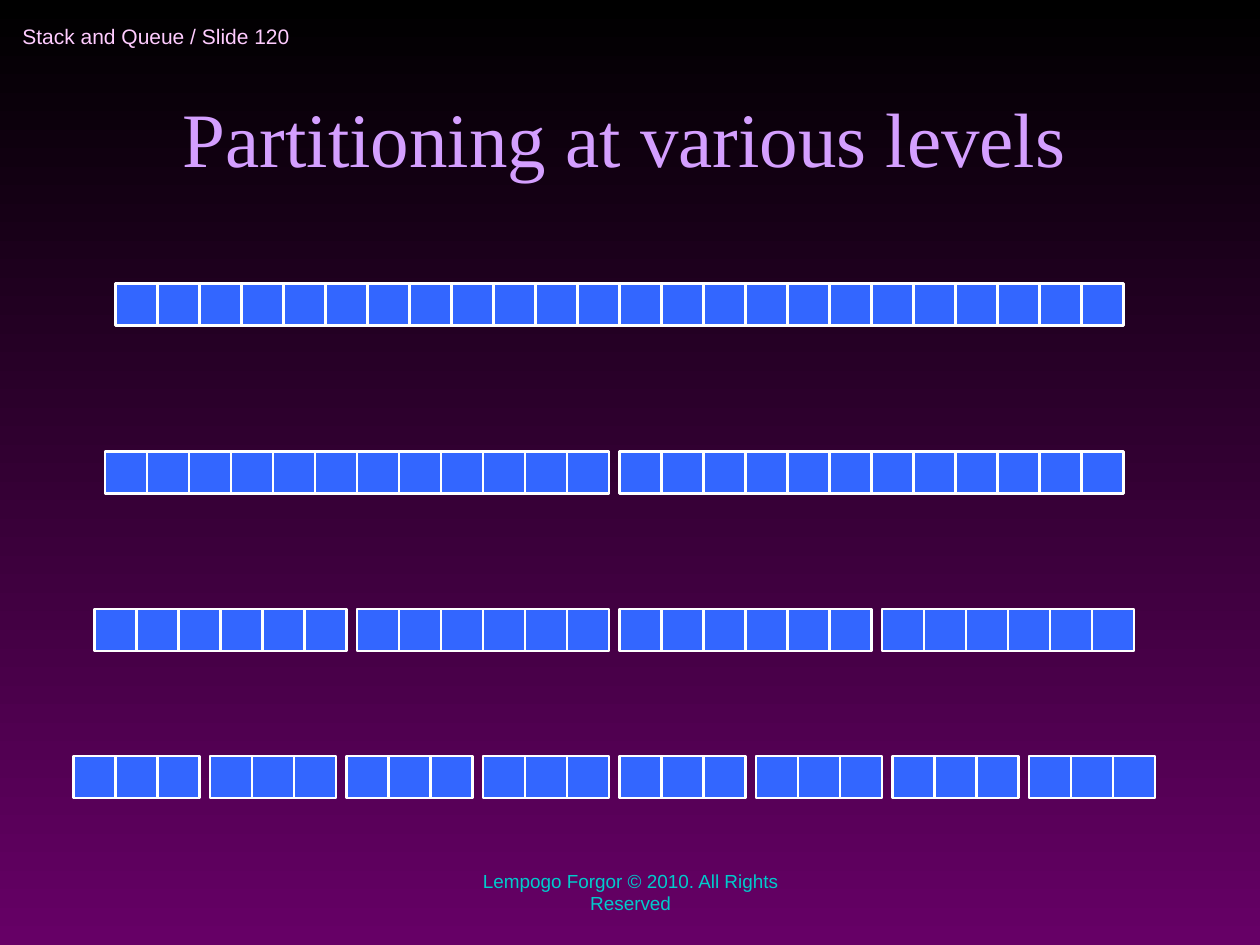
import pptx
import pptx.dml.color
import pptx.enum.shapes
import pptx.enum.text
import pptx.util

Inches = pptx.util.Inches
Pt = pptx.util.Pt
RGBColor = pptx.dml.color.RGBColor
Align = pptx.enum.text.PP_ALIGN
Anchor = pptx.enum.text.MSO_ANCHOR

BLACK = RGBColor(0x00, 0x00, 0x00)
PURPLE = RGBColor(0x66, 0x00, 0x66)
PINK = RGBColor(0xFF, 0xCC, 0xFF)
LILAC = RGBColor(0xD4, 0x9F, 0xFF)
TEAL = RGBColor(0x00, 0xCC, 0xCC)
BLUE = RGBColor(0x33, 0x66, 0xFF)
WHITE = RGBColor(0xFF, 0xFF, 0xFF)

# The cells sit on a grid of twelfths of an inch.
UNIT = 1 / 12
CELL = 4
GAP = 1
CELL_COUNT = 24

# Left and top in grid units, then the number of partitions.
LEVELS = [
    (11, 27, 1),
    (10, 43, 2),
    (9, 58, 4),
    (7, 72, 8),
]


def write_text(box, text, *, size, color, font="Arial", align=Align.LEFT,
               anchor=Anchor.MIDDLE, wrap=True):
    frame = box.text_frame
    frame.auto_size = pptx.enum.text.MSO_AUTO_SIZE.NONE
    frame.word_wrap = wrap
    frame.vertical_anchor = anchor
    para = frame.paragraphs[0]
    para.alignment = align
    span = para.add_run()
    span.text = text
    span.font.name = font
    span.font.size = Pt(size)
    span.font.color.rgb = color


class PartitionSlide:
    """Holds the current slide and the style of its cells."""

    def __init__(self, deck):
        self.page = deck.slides.add_slide(deck.slide_layouts[5])
        self.cell_fill = BLUE
        self.cell_line = WHITE
        self.line_width = Pt(1.25)

    def background(self, top_color, bottom_color):
        fill = self.page.background.fill
        fill.gradient()
        fill.gradient_angle = 270
        for stop, color in zip(fill.gradient_stops, (top_color, bottom_color)):
            stop.color.rgb = color

    def title(self, text, left, top, width, height, **style):
        box = self.page.shapes.title
        box.left, box.top = Inches(left), Inches(top)
        box.width, box.height = Inches(width), Inches(height)
        write_text(box, text, **style)

    def label(self, text, left, top, width, height, **style):
        box = self.page.shapes.add_textbox(
            Inches(left), Inches(top), Inches(width), Inches(height))
        write_text(box, text, **style)

    def cell(self, group, left, top):
        """Add one square at a position given in grid units."""
        square = group.shapes.add_shape(
            pptx.enum.shapes.MSO_SHAPE.RECTANGLE,
            Inches(left * UNIT), Inches(top * UNIT),
            Inches(CELL * UNIT), Inches(CELL * UNIT))
        square.shadow.inherit = False
        square.fill.solid()
        square.fill.fore_color.rgb = self.cell_fill
        square.line.color.rgb = self.cell_line
        square.line.width = self.line_width

    def level(self, left, top, partitions):
        """Add a row of cells split into equal partitions."""
        group = self.page.shapes.add_group_shape()
        partition_size = CELL_COUNT // partitions
        for index in range(CELL_COUNT):
            gaps = index // partition_size
            self.cell(group, left + index * CELL + gaps * GAP, top)


def main():
    deck = pptx.Presentation()
    deck.slide_width, deck.slide_height = Inches(10), Inches(7.5)

    slide = PartitionSlide(deck)
    slide.background(BLACK, PURPLE)
    slide.label("Stack and Queue / Slide 120", 0.08, 0.08, 2.75, 0.42,
                size=12, color=PINK, wrap=False)
    slide.title("Partitioning at various levels", 0.67, 0.25, 8.58, 1.25,
                size=44, color=LILAC, font="Times New Roman",
                align=Align.CENTER, anchor=Anchor.BOTTOM)
    slide.label("Lempogo Forgor © 2010. All Rights Reserved",
                3.42, 6.83, 3.17, 0.5,
                size=10.8, color=TEAL, align=Align.CENTER)
    for left, top, partitions in LEVELS:
        slide.level(left, top, partitions)

    deck.save("out.pptx")


if __name__ == "__main__":
    main()
